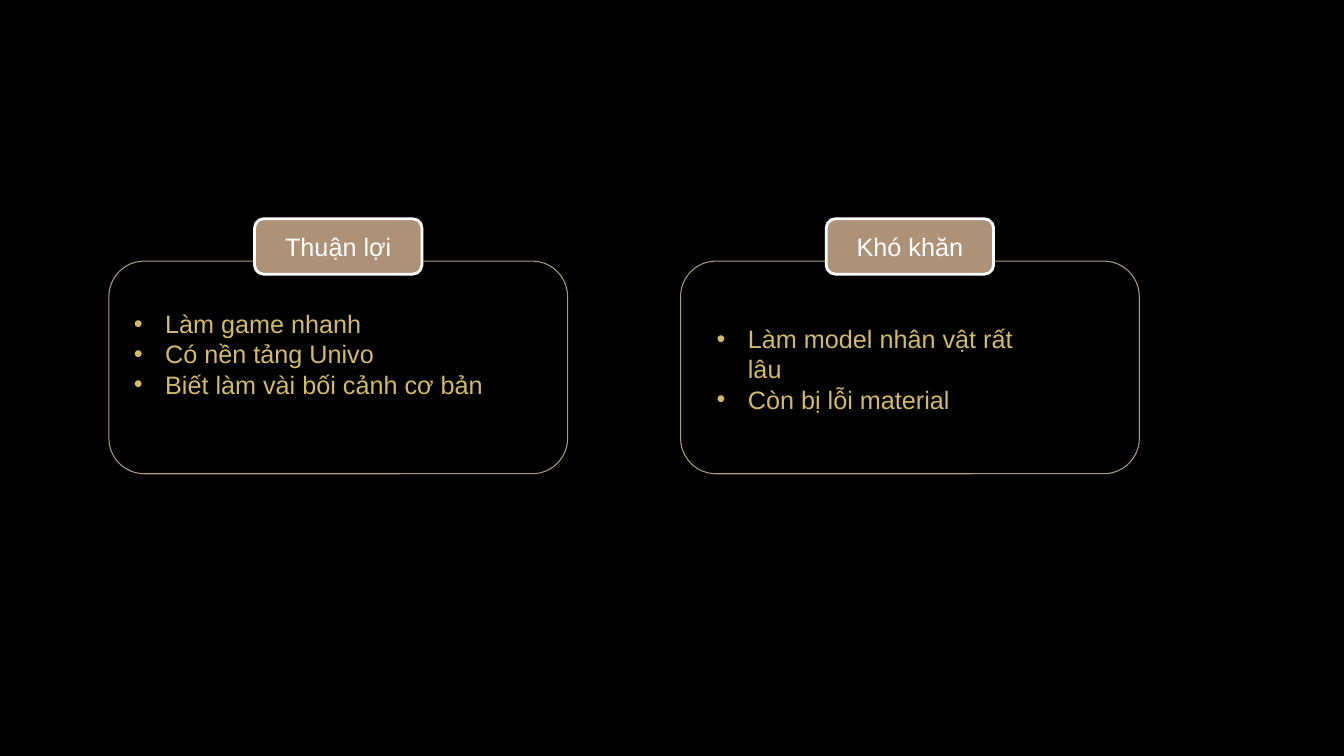
from dataclasses import dataclass

from lxml.etree import SubElement
from pptx import Presentation
from pptx.dml.color import RGBColor
from pptx.enum.shapes import MSO_SHAPE
from pptx.enum.text import MSO_ANCHOR, MSO_AUTO_SIZE, PP_ALIGN
from pptx.oxml.ns import qn
from pptx.util import Inches, Pt

# Content: heading, points, panel left, and list position (left, top, width, height)
CARDS = [
    {
        "heading": "Thuận lợi",
        "points": ["Làm game nhanh", "Có nền tảng Univo", "Biết làm vài bối cảnh cơ bản"],
        "left": 1.08,
        "list_box": (1.23, 3.01, 3.7, 1.01),
    },
    {
        "heading": "Khó khăn",
        "points": ["Làm model nhân vật rất lâu", "Còn bị lỗi material"],
        "left": 6.75,
        "list_box": (7.01, 3.16, 3.5, 0.71),
    },
]


@dataclass(frozen=True)
class Theme:
    background: RGBColor = RGBColor(0x00, 0x00, 0x00)
    outline: RGBColor = RGBColor(0xAD, 0x9D, 0x7B)
    heading_fill: RGBColor = RGBColor(0xAD, 0x92, 0x77)
    heading_text: RGBColor = RGBColor(0xFF, 0xFF, 0xFF)
    point_text: RGBColor = RGBColor(0xD3, 0xBA, 0x68)
    font: str = "Arial"
    size: int = 18


THEME = Theme()
PANEL_TOP, PANEL_WIDTH, PANEL_HEIGHT = 2.59, 4.55, 2.11
HEADING_TOP, HEADING_WIDTH, HEADING_HEIGHT = 2.17, 1.66, 0.55
BULLET_INDENT = 0.31


def style(paragraph, color):
    paragraph.font.name = THEME.font
    paragraph.font.size = Pt(THEME.size)
    paragraph.font.color.rgb = color


def add_rounded(slide, box, line_color, line_width, fill=None):
    rounded = slide.shapes.add_shape(MSO_SHAPE.ROUNDED_RECTANGLE, *map(Inches, box))
    rounded.shadow.inherit = False
    if fill is None:
        rounded.fill.background()
    else:
        rounded.fill.solid()
        rounded.fill.fore_color.rgb = fill
    rounded.line.color.rgb = line_color
    rounded.line.width = Pt(line_width)
    return rounded


def add_points(slide, box, points):
    frame = slide.shapes.add_textbox(*map(Inches, box)).text_frame
    frame.word_wrap = True
    frame.auto_size = MSO_AUTO_SIZE.SHAPE_TO_FIT_TEXT
    frame.text = "\n".join(points)
    for paragraph in frame.paragraphs:
        properties = paragraph._p.get_or_add_pPr()
        properties.set("marL", str(Inches(BULLET_INDENT)))
        properties.set("indent", str(-Inches(BULLET_INDENT)))
        SubElement(properties, qn("a:buFont")).set("typeface", THEME.font)
        SubElement(properties, qn("a:buChar")).set("char", "•")
        style(paragraph, THEME.point_text)


def add_heading(slide, left, heading):
    box = (left, HEADING_TOP, HEADING_WIDTH, HEADING_HEIGHT)
    tab = add_rounded(slide, box, THEME.heading_text, 2, THEME.heading_fill)
    frame = tab.text_frame
    frame.text = heading
    frame.vertical_anchor = MSO_ANCHOR.MIDDLE
    frame.paragraphs[0].alignment = PP_ALIGN.CENTER
    style(frame.paragraphs[0], THEME.heading_text)


def main():
    deck = Presentation()
    deck.slide_width, deck.slide_height = Inches(13.33), Inches(7.5)
    slide = deck.slides.add_slide(deck.slide_layouts[6])
    slide.background.fill.solid()
    slide.background.fill.fore_color.rgb = THEME.background

    # Each card: outlined panel, bulleted points, heading centred on its top edge
    for card in CARDS:
        panel_box = (card["left"], PANEL_TOP, PANEL_WIDTH, PANEL_HEIGHT)
        add_rounded(slide, panel_box, THEME.outline, 0.75)
        add_points(slide, card["list_box"], card["points"])
        heading_left = card["left"] + (PANEL_WIDTH - HEADING_WIDTH) / 2
        add_heading(slide, heading_left, card["heading"])

    deck.save("out.pptx")


if __name__ == "__main__":
    main()
